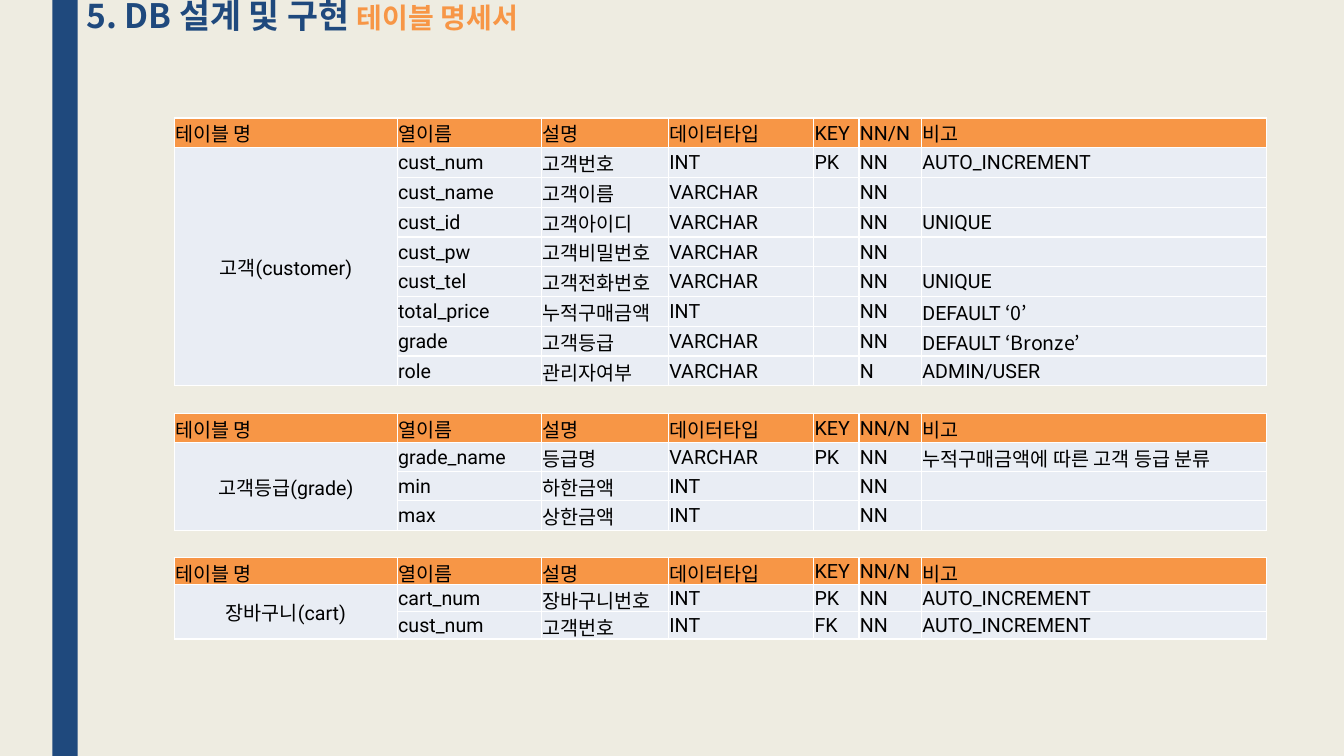
from lxml.etree import SubElement
from pptx import Presentation
from pptx.dml.color import RGBColor
from pptx.enum.shapes import MSO_SHAPE
from pptx.enum.text import MSO_ANCHOR, PP_ALIGN
from pptx.oxml.ns import qn
from pptx.util import Inches, Pt

NAVY, ORANGE, PALE = "1F497D", "F79646", "E9EDF4"
KOREAN, LATIN = "Noto Sans CJK KR", "Roboto"


def tint(target, code):
    if hasattr(target, "solid"):
        target.solid()
        target = target.fore_color
    target.rgb = RGBColor.from_string(code)


def style(run, size, face, code, bold=False):
    font = run.font
    font.size, font.name, font.bold = Pt(size), face, bold
    tint(font.color, code)
    SubElement(font._element, qn("a:ea")).set("typeface", KOREAN)


deck = Presentation()
deck.slide_width, deck.slide_height = Inches(13.33), Inches(7.5)
slide = deck.slides.add_slide(deck.slide_layouts[6])
tint(slide.background.fill, "EEECE1")

bar = slide.shapes.add_shape(MSO_SHAPE.RECTANGLE, Inches(0.52), 0, Inches(0.25), deck.slide_height)
bar.shadow.inherit = False
tint(bar.fill, NAVY)
bar.line.fill.background()

title = slide.shapes.add_textbox(Inches(0.76), 0, Inches(10.5), Inches(0.81))
frame = title.text_frame
frame.word_wrap = True
frame.margin_top = 0
line = frame.paragraphs[0]
line.line_spacing = 0.89
for text, size, code in [("5. DB 설계 및 구현 ", 24, NAVY), ("테이블 명세서", 20, ORANGE)]:
    run = line.add_run()
    run.text = text
    style(run, size, KOREAN, code, True)

head = ["테이블 명", "열이름", "설명", "데이터타입", "KEY", "NN/N", "비고"]
widths = [2.21, 1.43, 1.26, 1.44, 0.45, 0.62, 3.42]
tables = [
    (1.17, 2.66, "고객(customer)", [
        ["cust_num", "고객번호", "INT", "PK", "NN", "AUTO_INCREMENT"],
        ["cust_name", "고객이름", "VARCHAR", "", "NN", ""],
        ["cust_id", "고객아이디", "VARCHAR", "", "NN", "UNIQUE"],
        ["cust_pw", "고객비밀번호", "VARCHAR", "", "NN", ""],
        ["cust_tel", "고객전화번호", "VARCHAR", "", "NN", "UNIQUE"],
        ["total_price", "누적구매금액", "INT", "", "NN", "DEFAULT ‘0’"],
        ["grade", "고객등급", "VARCHAR", "", "NN", "DEFAULT ‘Bronze’"],
        ["role", "관리자여부", "VARCHAR", "", "N", "ADMIN/USER"],
    ]),
    (4.1, 1.16, "고객등급(grade)", [
        ["grade_name", "등급명", "VARCHAR", "PK", "NN", "누적구매금액에 따른 고객 등급 분류"],
        ["min", "하한금액", "INT", "", "NN", ""],
        ["max", "상한금액", "INT", "", "NN", ""],
    ]),
    (5.53, 0.81, "장바구니(cart)", [
        ["cart_num", "장바구니번호", "INT", "PK", "NN", "AUTO_INCREMENT"],
        ["cust_num", "고객번호", "INT", "FK", "NN", "AUTO_INCREMENT"],
    ]),
]

for top, height, name, fields in tables:
    rows = [head] + [[name if i == 0 else ""] + field for i, field in enumerate(fields)]
    grid = slide.shapes.add_table(
        len(rows), len(head), Inches(1.73), Inches(top), Inches(sum(widths)), Inches(height)
    ).table
    for column, width in zip(grid.columns, widths):
        column.width = Inches(width)
    for r, row in enumerate(rows):
        for c, text in enumerate(row):
            cell = grid.cell(r, c)
            cell.margin_left = cell.margin_top = cell.margin_right = Inches(0.01)
            cell.margin_bottom = 0
            cell.vertical_anchor = MSO_ANCHOR.MIDDLE
            for side in ["a:lnL", "a:lnR", "a:lnT", "a:lnB"]:
                edge = SubElement(cell._tc.get_or_add_tcPr(), qn(side), w=str(Pt(1)))
                SubElement(SubElement(edge, qn("a:solidFill")), qn("a:srgbClr"), val="FFFFFF")
            tint(cell.fill, PALE if r else ORANGE)
            para = cell.text_frame.paragraphs[0]
            if r and c == 0:
                para.alignment = PP_ALIGN.CENTER
            if not text:
                para._p.get_or_add_endParaRPr().set("sz", "1400")
                continue
            plain, quote, rest = text.partition("‘")
            for part, face in [(plain, LATIN), (quote + rest, KOREAN)]:
                if part:
                    run = para.add_run()
                    run.text = part
                    style(run, 14, face, "000000")
    grid.cell(1, 0).merge(grid.cell(len(fields), 0))

deck.save("out.pptx")
